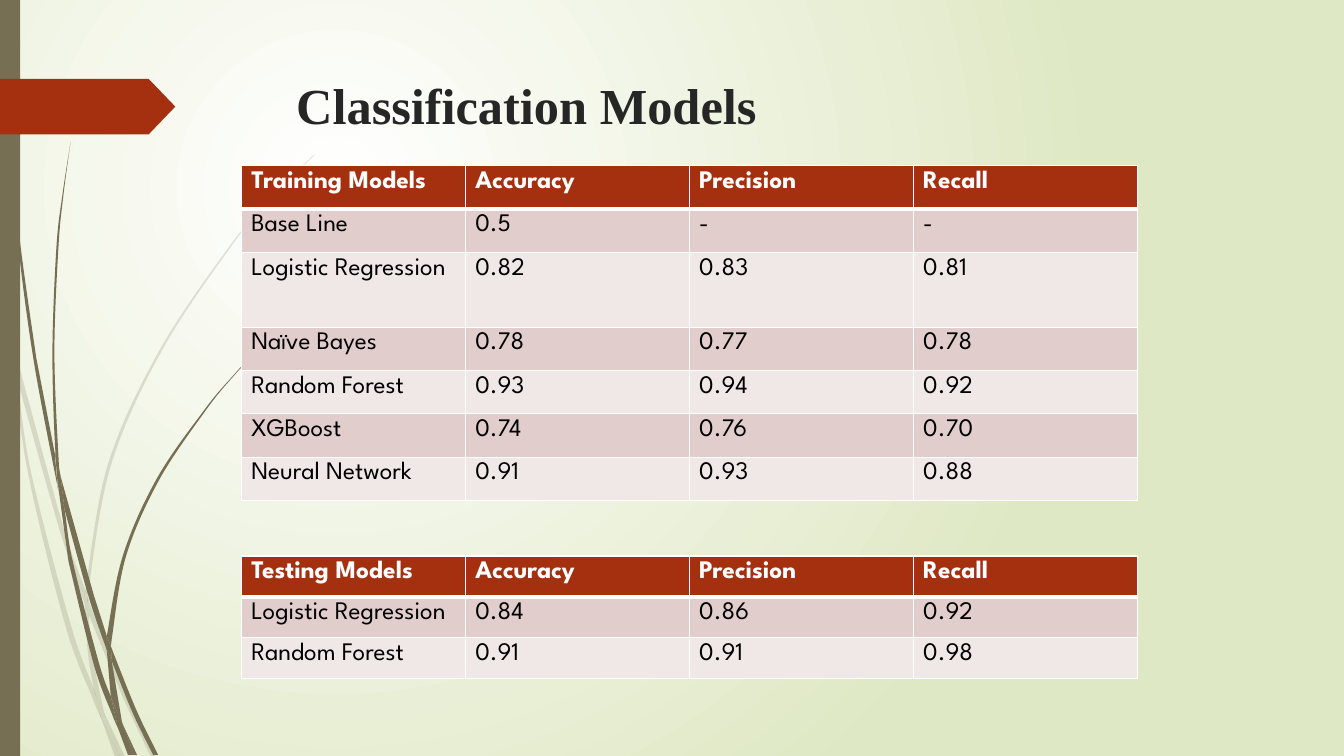
from lxml import etree
from pptx import Presentation
from pptx.dml.color import RGBColor
from pptx.enum.shapes import MSO_SHAPE
from pptx.oxml.ns import qn
from pptx.util import Pt

RECTANGLE = MSO_SHAPE.RECTANGLE
PENTAGON = MSO_SHAPE.PENTAGON

WHITE = RGBColor(0xFF, 0xFF, 0xFF)
BLACK = RGBColor(0x00, 0x00, 0x00)
INK = RGBColor(0x26, 0x26, 0x26)
GREEN = RGBColor(0xDF, 0xE8, 0xC4)
OLIVE = RGBColor(0x76, 0x6F, 0x54)
RUST = RGBColor(0xA5, 0x30, 0x10)
BANDS = [RGBColor(0xE1, 0xCD, 0xCC), RGBColor(0xF0, 0xE8, 0xE7)]

TITLE = "Classification Models"
TITLE_FONT = "Times New Roman"
TABLE_FONT = "League Spartan"

TRAINING = [
    ("Training Models", "Accuracy", "Precision", "Recall"),
    ("Base Line", "0.5", "-", "-"),
    ("Logistic Regression", "0.82", "0.83", "0.81"),
    ("Naïve Bayes", "0.78", "0.77", "0.78"),
    ("Random Forest", "0.93", "0.94", "0.92"),
    ("XGBoost", "0.74", "0.76", "0.70"),
    ("Neural Network", "0.91", "0.93", "0.88"),
]
TESTING = [
    ("Testing Models", "Accuracy", "Precision", "Recall"),
    ("Logistic Regression", "0.84", "0.86", "0.92"),
    ("Random Forest", "0.91", "0.91", "0.98"),
]
# rows, top, row heights
TABLES = [
    (TRAINING, 118.4, [31, 31, 53.3, 31, 31, 31, 31]),
    (TESTING, 397.1, [29.2] * 3),
]
TABLE_LEFT, COL_WIDTH = 172.3, 160

# Each blade of grass is a list of smooth edges; the edges meet in corners.
GRASS_UNIT = 0.72  # points
FAINT_BLADES = [
    [[(11, 350), (9, 322), (0, 282)], [(0, 299), (10, 344), (11, 350)]],
    [[(17, 376), (58, 522), (84, 599)], [(85, 586), (62, 520), (14, 345)]],
    [[(92, 607), (88, 596)], [(88, 610), (123, 694), (150, 751)],
     [(155, 751), (127, 692), (92, 607)]],
    [[(119, 751), (124, 751)], [(105, 711)]],
    [[(93, 683), (70, 619), (31, 469), (17, 376), (11, 350)],
     [(11, 350), (28, 470), (65, 621), (92, 693), (101, 714)], [(99, 707), (93, 683)]],
    [[(84, 599), (87, 646), (93, 683), (96, 692), (105, 711)],
     [(103, 706), (91, 646), (88, 610)], [(88, 608), (84, 599)]],
    [[(88, 596), (88, 584), (110, 462), (160, 349), (229, 245), (268, 198), (290, 175),
      (312, 154)],
     [(312, 153), (289, 175), (268, 197), (228, 244), (158, 348), (107, 461), (85, 584),
      (85, 586)]],
    [[(101, 714), (114, 751)], [(119, 751), (101, 714)]],
    [[(88, 608), (88, 610)], [(88, 596), (85, 586)], [(84, 599), (88, 608)]],
    [[(96, 692), (93, 683)], [(99, 707), (101, 714), (119, 751)], [(105, 711), (96, 692)]],
]
DARK_BLADES = [
    [[(4, 0), (3, 0)], [(4, 48), (7, 110), (17, 233), (33, 355), (56, 477), (57, 481)],
     [(55, 457), (55, 453)], [(36, 355), (19, 232), (8, 109), (5, 48), (4, 0)]],
    [[(64, 505), (88, 592), (106, 645)], [(106, 633), (106, 631)],
     [(93, 590), (60, 472)]],
    [[(113, 649), (110, 641)], [(111, 656), (132, 708), (152, 749)],
     [(157, 749), (136, 706), (113, 649)]],
    [[(110, 691), (98, 657), (72, 556), (64, 505), (57, 477)],
     [(68, 557), (93, 659), (111, 708), (117, 722)], [(116, 717), (110, 691)]],
    [[(60, 472), (58, 453), (54, 349), (58, 245), (63, 193), (70, 141)],
     [(70, 141), (62, 193), (56, 245), (52, 349), (55, 449), (60, 472)]],
    [[(133, 749), (136, 749)], [(122, 719)]],
    [[(57, 477), (64, 505)], [(60, 472), (55, 449)], [(55, 453), (57, 477)]],
    [[(111, 633), (125, 552), (158, 476), (205, 406), (231, 374), (245, 359), (261, 344)],
     [(260, 344), (245, 358), (231, 373), (204, 405), (156, 474), (122, 551), (106, 631)],
     [(110, 641), (111, 633)]],
    [[(117, 722), (127, 749)], [(131, 749), (117, 722)]],
    [[(106, 645), (110, 691)], [(116, 706), (122, 719)],
     [(121, 716), (111, 656)], [(109, 651), (106, 645)]],
    [[(106, 645), (109, 651), (111, 656)], [(110, 641), (106, 631)], [(106, 633)]],
    [[(116, 706), (110, 691)], [(116, 717), (117, 722), (130, 749)],
     [(133, 749), (122, 719), (116, 706)]],
]


def add_xml(parent, tag, **attrs):
    el = etree.SubElement(parent, qn(tag))
    for name, value in attrs.items():
        el.set(name, str(value))
    return el


def paint(shape, color, opacity=100):
    shape.shadow.inherit = False
    shape.fill.solid()
    shape.fill.fore_color.rgb = color
    shape.line.fill.background()
    if opacity < 100:
        add_xml(shape._element.spPr.find(".//" + qn("a:srgbClr")),
                "a:alpha", val=opacity * 1000)


def handles(edge):
    """Give the two control points of each curve along a smooth edge."""
    ends = [edge[0]] + edge + [edge[-1]]
    return [([q + (r - p) / 6 for p, q, r in zip(a, b, c)],
             [r - (s - q) / 6 for q, r, s in zip(b, c, d)])
            for a, b, c, d in zip(ends, ends[1:], ends[2:], ends[3:])]


def add_blade(slide, edges, opacity):
    nodes = [node for edge in edges for node in edge]
    emu = [tuple(Pt(v * GRASS_UNIT) for v in node) for node in nodes]
    builder = slide.shapes.build_freeform(*emu[0])
    builder.add_line_segments(emu[1:], close=True)
    sp = builder.convert_to_shape()
    paint(sp, OLIVE, opacity)

    lines = list(sp._element.spPr.iter(qn("a:lnTo")))
    start = 0
    for edge in edges:
        for i, controls in enumerate(handles(edge)):
            line = lines[start + i]
            line.tag = qn("a:cubicBezTo")
            for k, (x, y) in enumerate(controls):
                pt = add_xml(line, "a:pt", x=Pt(x * GRASS_UNIT) - sp.left,
                             y=Pt(y * GRASS_UNIT) - sp.top)
                line.insert(k, pt)
        start += len(edge)


def write(paragraph, text, font, size, color, bold):
    paragraph.text = text
    f = paragraph.runs[0].font
    f.name, f.size, f.bold = font, Pt(size), bold
    f.color.rgb = color


def set_borders(cell, widths):
    """Draw white borders; the lines must come before the fill."""
    tc_pr = cell._tc.get_or_add_tcPr()
    for i, (side, width) in enumerate(zip("LRTB", widths)):
        ln = add_xml(tc_pr, "a:ln" + side, w=Pt(width))
        add_xml(add_xml(ln, "a:solidFill"), "a:srgbClr", val=WHITE)
        tc_pr.insert(i, ln)


def add_model_table(slide, rows, top, heights):
    n_cols = len(rows[0])
    table = slide.shapes.add_table(len(rows), n_cols, Pt(TABLE_LEFT), Pt(top),
                                   Pt(COL_WIDTH * n_cols), Pt(sum(heights))).table
    for col in table.columns:
        col.width = Pt(COL_WIDTH)
    for i, (row, height) in enumerate(zip(rows, heights)):
        table.rows[i].height = Pt(height)
        header = i == 0
        for j, text in enumerate(row):
            cell = table.cell(i, j)
            cell.fill.solid()
            cell.fill.fore_color.rgb = RUST if header else BANDS[(i - 1) % 2]
            set_borders(cell, (1, 1, 3 if i == 1 else 1, 3 if header else 1))
            write(cell.text_frame.paragraphs[0], text, TABLE_FONT, 18,
                  WHITE if header else BLACK, header)


def set_background(slide):
    fill = slide.background.fill
    fill.gradient()
    for stop, color in zip(fill.gradient_stops, (WHITE, GREEN)):
        stop.color.rgb = color
    grad = slide._element.find(".//" + qn("a:gradFill"))
    grad.remove(grad.find(qn("a:lin")))
    circle = add_xml(grad, "a:path", path="circle")
    add_xml(circle, "a:fillToRect", l=50000, t=50000, r=100000, b=100000)


def main():
    prs = Presentation()
    prs.slide_width, prs.slide_height = Pt(960), Pt(540)
    slide = prs.slides.add_slide(prs.slide_layouts[6])
    set_background(slide)
    for blades, opacity in ((FAINT_BLADES, 20), (DARK_BLADES, 100)):
        for edges in blades:
            add_blade(slide, edges, opacity)

    paint(slide.shapes.add_shape(RECTANGLE, 0, 0, Pt(14.4), Pt(540)), OLIVE)
    tag = slide.shapes.add_shape(PENTAGON, 0, Pt(56.3), Pt(125.2), Pt(39.8))
    tag.adjustments[0] = 0.48
    paint(tag, RUST)

    tf = slide.shapes.add_textbox(Pt(204.5), Pt(49.5), Pt(702), Pt(100.8)).text_frame
    tf.word_wrap = True
    write(tf.paragraphs[0], TITLE, TITLE_FONT, 36, INK, True)
    for rows, top, heights in TABLES:
        add_model_table(slide, rows, top, heights)
    prs.save("out.pptx")


if __name__ == "__main__":
    main()
